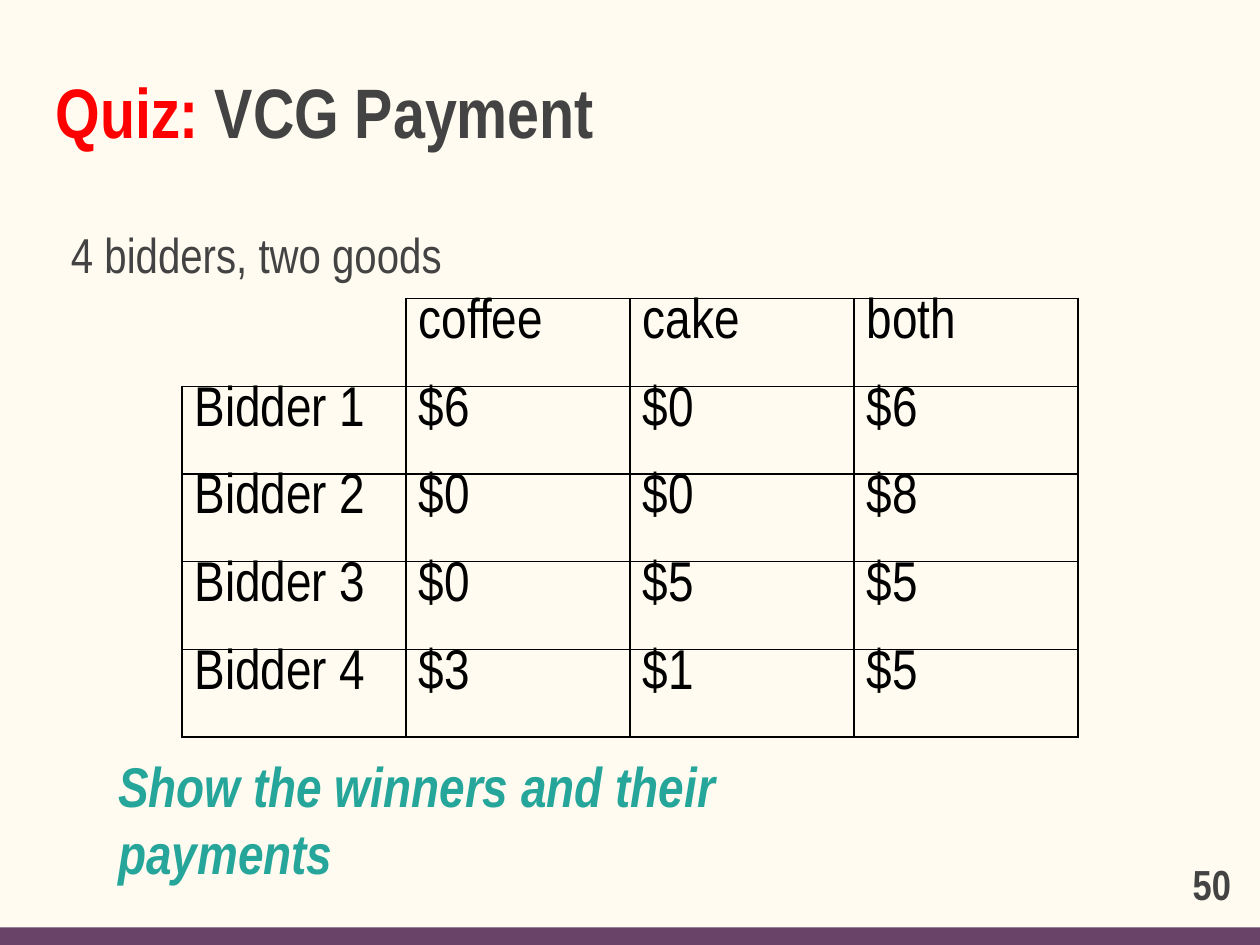
from dataclasses import dataclass

from lxml.etree import SubElement
from pptx import Presentation
from pptx.dml.color import RGBColor
from pptx.enum.shapes import MSO_SHAPE
from pptx.enum.text import MSO_ANCHOR, PP_ALIGN
from pptx.oxml.ns import qn
from pptx.util import Pt


@dataclass(frozen=True)
class Theme:
    font: str = "Arial Narrow"
    paper: str = "FFFBF0"
    plum: str = "694368"
    ink: str = "434343"
    black: str = "000000"
    red: str = "FF0000"
    teal: str = "26A69A"
    title: int = 40
    body: int = 28
    large: int = 32
    page: int = 24
    rule: int = 1
    inset: float = 7.2


class Deck:
    def __init__(self, theme):
        self.theme = theme
        self.prs = Presentation()
        self.prs.slide_width, self.prs.slide_height = Pt(720), Pt(540)
        self.slide = self.prs.slides.add_slide(self.prs.slide_layouts[5])
        fill = self.slide.background.fill
        fill.solid()
        fill.fore_color.rgb = RGBColor.from_string(theme.paper)

    def style(self, run, size, color, bold=False, italic=False):
        font = run.font
        font.name, font.size = self.theme.font, Pt(size)
        font.bold, font.italic = bold, italic
        font.color.rgb = RGBColor.from_string(color)

    def pad(self, frame, anchor):
        frame.word_wrap = True
        frame.vertical_anchor = anchor
        inset = Pt(self.theme.inset)
        frame.margin_left = frame.margin_right = inset
        frame.margin_top = frame.margin_bottom = inset

    def bar(self, box, color):
        shape = self.slide.shapes.add_shape(MSO_SHAPE.RECTANGLE, *map(Pt, box))
        shape.shadow.inherit = False
        shape.fill.solid()
        shape.fill.fore_color.rgb = RGBColor.from_string(color)
        shape.line.fill.background()

    def title(self, box, parts):
        """Fill the title from (text, color) parts."""
        shape = self.slide.shapes.title
        shape.left, shape.top, shape.width, shape.height = map(Pt, box)
        self.pad(shape.text_frame, MSO_ANCHOR.MIDDLE)
        para = shape.text_frame.paragraphs[0]
        para.alignment = PP_ALIGN.LEFT
        for text, color in parts:
            run = para.add_run()
            run.text = text
            self.style(run, self.theme.title, color, bold=True)

    def text(self, box, text, size, color, bold=False, italic=False):
        shape = self.slide.shapes.add_textbox(*map(Pt, box))
        shape.text_frame.word_wrap = True
        para = shape.text_frame.paragraphs[0]
        para.text = text
        self.style(para.runs[0], size, color, bold, italic)
        return shape.text_frame

    def body(self, box, text):
        frame = self.text(box, text, self.theme.body, self.theme.ink)
        self.pad(frame, MSO_ANCHOR.TOP)
        para = frame.paragraphs[0]
        para.line_spacing = 1.5
        props = para._p.get_or_add_pPr()
        props.set("marL", str(Pt(36)))
        props.set("indent", str(Pt(-27)))

    def page(self, box, text):
        frame = self.text(box, text, self.theme.page, self.theme.ink, bold=True)
        self.pad(frame, MSO_ANCHOR.MIDDLE)
        frame.paragraphs[0].alignment = PP_ALIGN.RIGHT

    def edges(self, cell, shown):
        """Rule the shown sides of a cell, and clear the others."""
        props = cell._tc.get_or_add_tcPr()
        for side in "LRTB":
            line = SubElement(props, qn(f"a:ln{side}"), w=str(Pt(self.theme.rule)))
            if side in shown:
                fill = SubElement(line, qn("a:solidFill"))
                SubElement(fill, qn("a:srgbClr"), val=self.theme.black)
            else:
                SubElement(line, qn("a:noFill"))

    def table(self, box, rows):
        shape = self.slide.shapes.add_table(len(rows), len(rows[0]), *map(Pt, box))
        table = shape.table
        table.first_row = table.horz_banding = False
        for r, row in enumerate(rows):
            for c, text in enumerate(row):
                cell = table.cell(r, c)
                self.edges(cell, "LRTB" if text else "RB")
                cell.fill.background()
                if text:
                    para = cell.text_frame.paragraphs[0]
                    para.text = text
                    para.line_spacing = 0.8
                    self.style(para.runs[0], self.theme.large, self.theme.black)


def main():
    theme = Theme()
    deck = Deck(theme)
    deck.bar((0, 530, 720, 10), theme.plum)
    deck.title((24.5, 31, 671, 64),
               [("Quiz: ", theme.red), ("VCG Payment", theme.ink)])
    deck.body((24.5, 104.5, 671, 365), "4 bidders, two goods")
    deck.page((632, 479, 78.5, 52), "50")
    deck.text((60.5, 426, 468, 46), "Show the winners and their payments",
              theme.large, theme.teal, bold=True, italic=True)
    deck.table((104, 170.7, 512, 250.5), [
        ("", "coffee", "cake", "both"),
        ("Bidder 1", "$6", "$0", "$6"),
        ("Bidder 2", "$0", "$0", "$8"),
        ("Bidder 3", "$0", "$5", "$5"),
        ("Bidder 4", "$3", "$1", "$5"),
    ])
    deck.prs.save("out.pptx")


if __name__ == "__main__":
    main()
